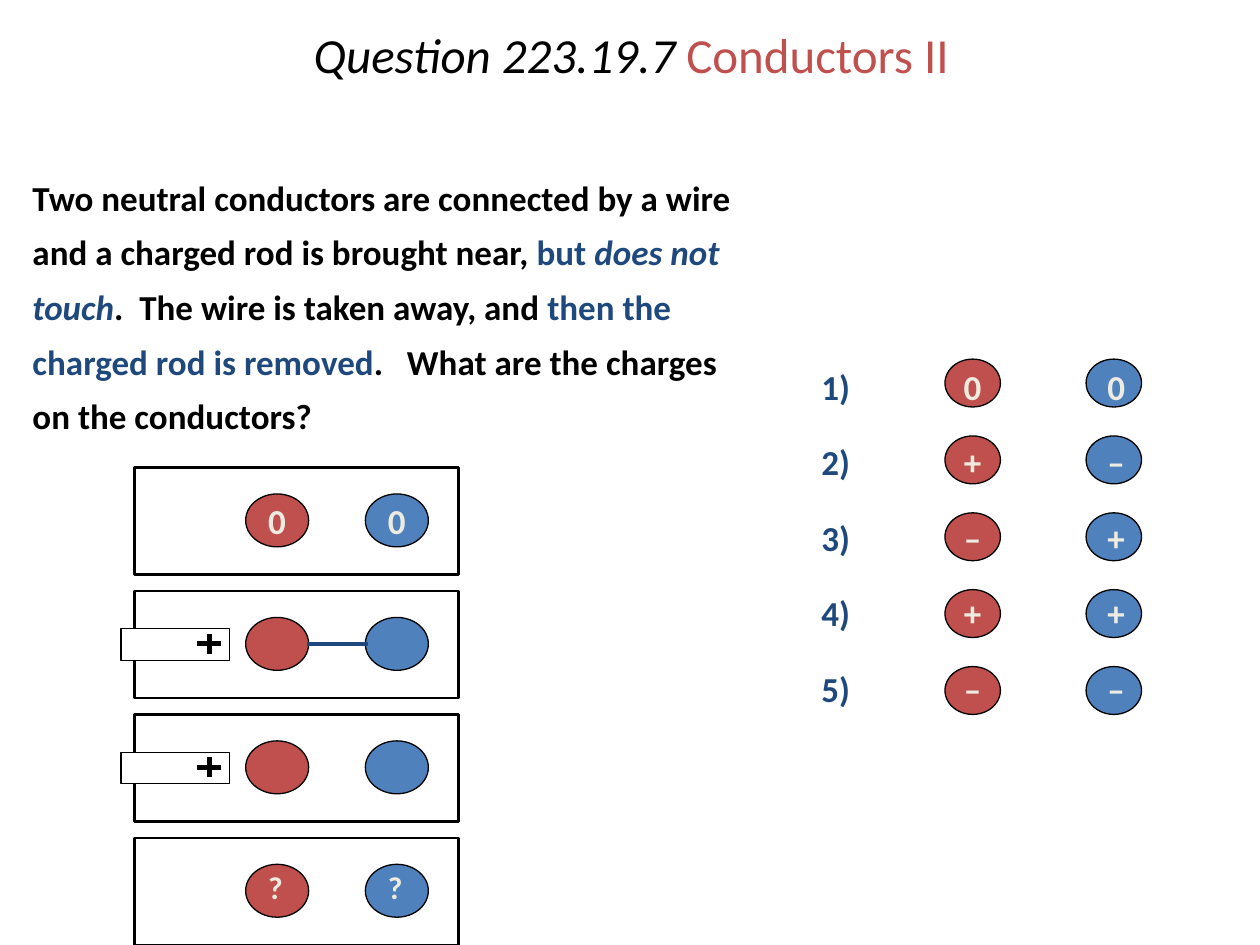
import pptx
import pptx.dml.color
import pptx.enum.shapes
import pptx.enum.text
import pptx.oxml.ns
import pptx.util
from lxml import etree

PX = 9144  # EMU per px, 100 px to the inch
COLORS = {
    "black": "000000",
    "white": "FFFFFF",
    "red": "C0504D",
    "blue": "4F81BD",
    "navy": "1F497D",
    "cream": "EEECE1",
}
SHAPES = pptx.enum.shapes.MSO_SHAPE
ALIGN = pptx.enum.text.PP_ALIGN
ANCHOR = pptx.enum.text.MSO_ANCHOR


def px(length):
    return pptx.util.Emu(round(length * PX))


def rgb(name):
    return pptx.dml.color.RGBColor.from_string(COLORS[name])


def add_outlined(slide, kind, box, fill, weight):
    """Add a black-outlined shape; fill None leaves it hollow."""
    shape = slide.shapes.add_shape(kind, *map(px, box))
    shape.shadow.inherit = False
    if fill:
        shape.fill.solid()
        shape.fill.fore_color.rgb = rgb(fill)
    else:
        shape.fill.background()
    shape.line.color.rgb = rgb("black")
    shape.line.width = pptx.util.Pt(weight)


def add_line(slide, start, end, color, weight):
    line = slide.shapes.add_connector(
        pptx.enum.shapes.MSO_CONNECTOR.STRAIGHT, *map(px, start + end))
    line.line.color.rgb = rgb(color)
    line.line.width = pptx.util.Pt(weight)
    etree.SubElement(line._element.spPr, pptx.oxml.ns.qn("a:effectLst"))


def add_text_frame(slide, box, **frame_format):
    frame = slide.shapes.add_textbox(*map(px, box)).text_frame
    for name, value in ({"word_wrap": True} | frame_format).items():
        setattr(frame, name, value)
    return frame


def write_runs(paragraph, runs, size, **paragraph_format):
    """Fill a paragraph from (text, color, font format) runs."""
    for name, value in ({"line_spacing": 0.9} | paragraph_format).items():
        setattr(paragraph, name, value)
    for text, color, font_format in runs:
        run = paragraph.add_run()
        run.text = text
        run.font.color.rgb = rgb(color)
        base = {"name": "Calibri", "size": pptx.util.Pt(size)}
        for name, value in (base | font_format).items():
            setattr(run.font, name, value)


def add_title(slide, box):
    frame = add_text_frame(slide, box, vertical_anchor=ANCHOR.MIDDLE)
    write_runs(frame.paragraphs[0], [
        ("Question 223.19.7 ", "black", {"italic": True}),
        ("Conductors II", "red", {}),
    ], 28, alignment=ALIGN.CENTER)


def add_question(slide, box):
    bold = {"bold": True}
    frame = add_text_frame(slide, box)
    write_runs(frame.paragraphs[0], [
        ("Two neutral conductors are connected by a wire and a charged rod "
         "is brought near, ", "black", bold),
        ("but ", "navy", bold),
        ("does not touch", "navy", {"bold": True, "italic": True}),
        (".  The wire is taken away, and ", "black", bold),
        ("then the charged rod is removed", "navy", bold),
        (".   What are the charges on the conductors?", "black", bold),
    ], 20, line_spacing=1.3)


def add_tab_stops(paragraph, positions):
    tabs = etree.SubElement(paragraph._p.get_or_add_pPr(),
                            pptx.oxml.ns.qn("a:tabLst"))
    for position in positions:
        etree.SubElement(tabs, pptx.oxml.ns.qn("a:tab"),
                         pos=str(px(position)), algn="ctr")


def add_answers(slide, box):
    left, top, width, height = box
    answers = ["00", "+–", "–+", "++", "––"]
    for row in range(len(answers)):
        for dx, color in ((108, "red"), (220, "blue")):
            add_outlined(slide, SHAPES.OVAL,
                         (left + dx, top - 4 + 61 * row, 44, 38), color, 0.75)

    frame = add_text_frame(slide, box)
    for row, (first, second) in enumerate(answers):
        paragraph = frame.paragraphs[0] if row == 0 else frame.add_paragraph()
        add_tab_stops(paragraph, (120, 234))
        write_runs(paragraph, [
            (f"{row + 1})", "navy", {"bold": True}),
            (f"\t{first}\t{second}", "cream", {"bold": True}),
        ], 20, space_before=pptx.util.Pt(21.5 if row else 0))


def add_charged_rod(slide, box):
    left, top, width, height = box
    add_outlined(slide, SHAPES.RECTANGLE, box, "white", 0.75)
    x, y = left + 70, top + 12
    add_line(slide, (x - 10, y), (x + 9, y), "black", 3)
    add_line(slide, (x, y + 8), (x, y - 8), "black", 3)


def add_stage(slide, box, charge="", size=20, label_dy=0, rod=False, wire=False):
    """Draw one step: two conductors with optional charges, rod and wire."""
    left, top, width, height = box
    for dx, color in ((88, "red"), (183, "blue")):
        add_outlined(slide, SHAPES.OVAL, (left + dx, top + 21, 50, 42), color, 0.75)
        if charge:
            label = add_text_frame(
                slide, (left + dx + 8, top + label_dy, 38, 40), word_wrap=False)
            write_runs(label.paragraphs[0], [(charge, "cream", {"bold": True})], size)
    add_outlined(slide, SHAPES.RECTANGLE, box, None, 1.5)
    if rod:
        add_charged_rod(slide, (left - 11, top + 30, 86, 25))
    if wire:
        add_line(slide, (left + 137, top + 42), (left + 185, top + 42), "navy", 2.25)


def main():
    deck = pptx.Presentation()
    deck.slide_width, deck.slide_height = px(1000), px(750)
    slide = deck.slides.add_slide(deck.slide_layouts[6])

    add_title(slide, (102, 0, 798, 92))
    add_question(slide, (16, 125, 583, 406))
    add_answers(slide, (642, 289, 263, 280))
    stages = [
        {"charge": "0", "label_dy": 24},
        {"rod": True, "wire": True},
        {"rod": True},
        {"charge": "?", "size": 18, "label_dy": 22},
    ]
    for row, stage in enumerate(stages):
        add_stage(slide, (107, 371 + 98 * row, 257, 85), **stage)

    deck.save("out.pptx")


if __name__ == "__main__":
    main()
